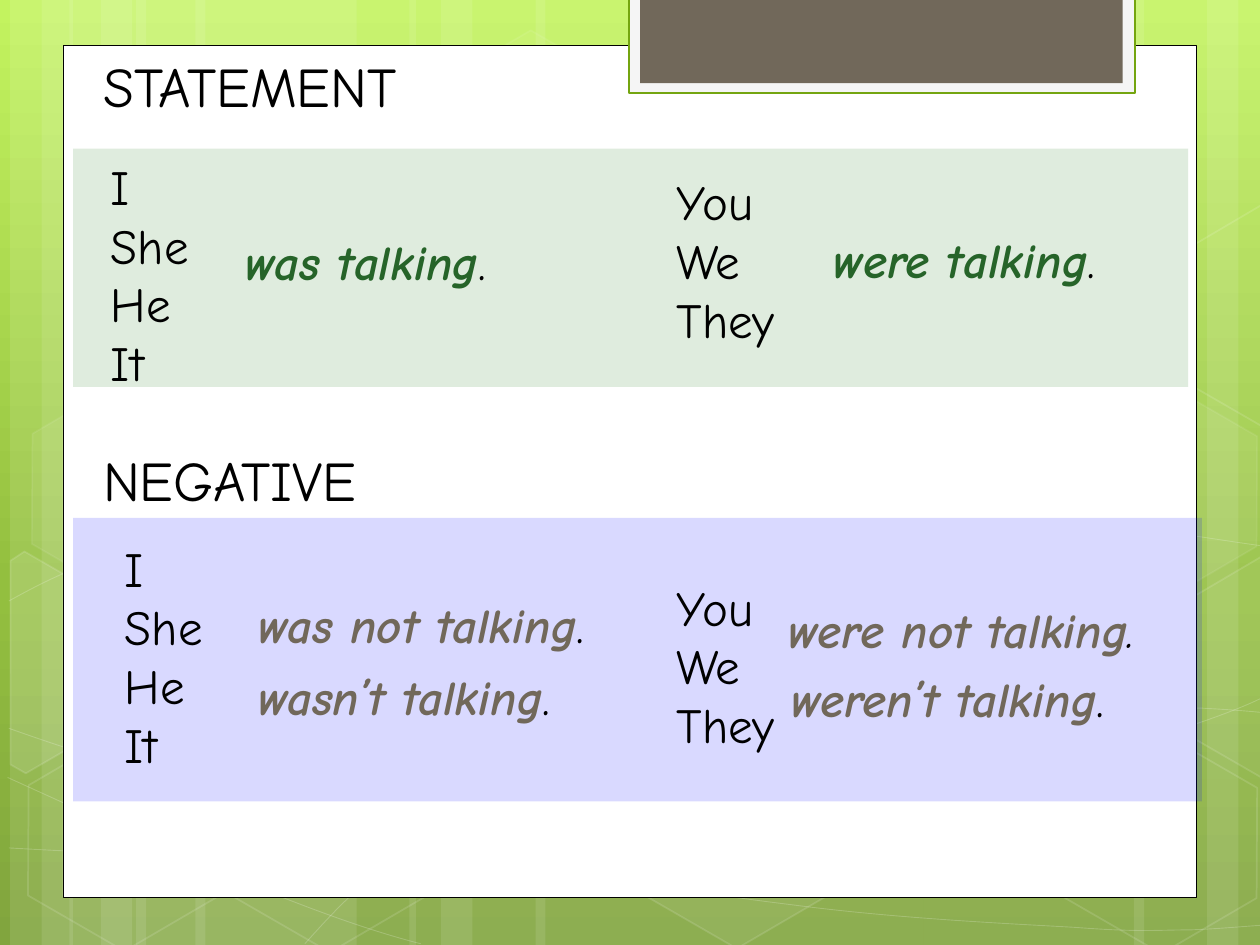
from copy import deepcopy
from dataclasses import dataclass

from lxml.etree import SubElement
from pptx import Presentation
from pptx.dml.color import RGBColor
from pptx.enum.shapes import MSO_SHAPE
from pptx.enum.text import MSO_ANCHOR, MSO_AUTO_SIZE, PP_ALIGN
from pptx.oxml.ns import qn
from pptx.util import Inches, Pt

CELL = Inches(0.1)  # the slide is a grid of 100 columns by 75 rows
COLUMNS, ROWS = 100, 75


@dataclass(frozen=True)
class Theme:
    font: str = "Comic Neue"
    heading: int = 32
    body: int = 28
    ink: str = "000000"
    paper: str = "FFFFFF"
    tab_border: str = "F5F5F5"
    tab_line: str = "74A510"
    taupe: str = "71685A"
    green: str = "266429"
    green_panel: str = "2B8525"
    blue_panel: str = "0101FF"
    sky: tuple = ((0, "C3F35F"), (0.62, "93BF3F"), (1, "81A53E"))


THEME = Theme()


@dataclass(frozen=True)
class Box:
    left: float
    top: float
    width: float
    height: float

    def inner(self, left, top, width, height):
        return Box(self.left + left, self.top + top, width, height)

    def emu(self):
        return [cells(v) for v in (self.left, self.top, self.width, self.height)]


def cells(count):
    return round(count * CELL)


def set_opacity(solid_fill, percent):
    if percent < 100:
        SubElement(solid_fill[0], qn("a:alpha"), val=str(percent * 1000))


def paint(shape, fill=None, opacity=100, line=None, width=1, line_opacity=100):
    shape.shadow.inherit = False
    properties = shape.element.spPr
    if fill:
        shape.fill.solid()
        shape.fill.fore_color.rgb = RGBColor.from_string(fill)
        set_opacity(properties.find(qn("a:solidFill")), opacity)
    else:
        shape.fill.background()
    if line:
        shape.line.width = Pt(width)
        shape.line.color.rgb = RGBColor.from_string(line)
        set_opacity(properties.find(qn("a:ln")).find(qn("a:solidFill")), line_opacity)
    else:
        shape.line.fill.background()


def add_rectangle(slide, box, **style):
    paint(slide.shapes.add_shape(MSO_SHAPE.RECTANGLE, *box.emu()), **style)


def add_outline(slide, points, closed):
    start, *rest = [(cells(x), cells(y)) for x, y in points]
    builder = slide.shapes.build_freeform(*start)
    builder.add_line_segments(rest, close=closed)
    return builder.convert_to_shape()


def bend(outline):
    """Turn each three line segments into one cubic Bézier segment."""
    track = next(outline.element.iter(qn("a:path")))
    segments = track.findall(qn("a:lnTo"))
    for i in range(0, len(segments), 3):
        curve = SubElement(track, qn("a:cubicBezTo"))
        for segment in segments[i:i + 3]:
            curve.append(segment[0])
            track.remove(segment)


def draw_sky(slide):
    fill = slide.background.fill
    fill.gradient()
    fill.gradient_angle = 270
    stops = next(slide.element.iter(qn("a:gsLst")))
    stops.append(deepcopy(stops[0]))
    for stop, (position, color) in zip(fill.gradient_stops, THEME.sky):
        stop.position = position
        stop.color.rgb = RGBColor.from_string(color)


def draw_stripes(slide):
    for left, width in ((10.8, 17.5), (0.8, 5), (3.3, 8.3), (15.5, 17.5), (5.5, 5), (8, 8.3),
                        (73.3, 17.5), (95.8, 5), (90, 8.3), (42.5, 30.8), (32.5, 5), (35, 8.3)):
        add_rectangle(slide, Box(left, 0, width, ROWS), fill=THEME.paper, opacity=10)


def draw_waves(slide):
    waves = (
        [(0.7, 67.3), (6.1, 67.6), (11.5, 67.9), (19, 67.8), (26.5, 67.7), (35.8, 67.5),
         (45.8, 66.5), (55.8, 65.5), (70, 63.6), (79.2, 61.7), (88.3, 59.8), (97.7, 56.8),
         (100.7, 55.1)],
        [(0.7, 47.7), (3.6, 46.1), (6.5, 44.6), (12.1, 43.1), (17.8, 41.6), (25.9, 39.4),
         (34.7, 38.7), (43.6, 38), (54.4, 37.9), (65.4, 38.7), (76.4, 39.5), (94.7, 42.6),
         (100.7, 43.4)],
        [(0.6, 61.7), (12.7, 67.2), (24.7, 72.7), (33.4, 74.9)],
        [(0.7, 57.8), (3.8, 58.9), (7, 60), (12.8, 61.6), (18.6, 63.1), (27.3, 65.6),
         (35.7, 67.3), (44, 69), (54.5, 70.8), (62.8, 71.8), (71.1, 72.9), (80, 73.3),
         (85.3, 73.6), (90.5, 74), (91.9, 73.8), (94.5, 73.8), (97.1, 73.7), (98.9, 73.5),
         (100.7, 73.4)],
        [(24.2, 74.9), (26, 72.9), (27.8, 70.9), (30.2, 69.1), (32.6, 67.3), (36, 65.3),
         (38.8, 63.9), (41.6, 62.5), (43.3, 61.9), (47, 60.9), (50.6, 59.9), (57.3, 58.5),
         (60.8, 57.8), (64.4, 57.1), (64.9, 57.1), (68, 56.9), (71.1, 56.6), (76, 56.3),
         (79.4, 56.2), (82.9, 56.1), (88.6, 56.2), (95.3, 56.2), (97.1, 56.3), (98.8, 56.4),
         (100.6, 56.6)],
    )
    for knots in waves:
        wave = add_outline(slide, knots, closed=False)
        bend(wave)
        paint(wave, line=THEME.paper, width=0.5, line_opacity=20)


def paint_hexagon(shape, opacity, line_opacity):
    shape.rotation = 30
    paint(shape, THEME.paper if opacity else None, opacity,
          THEME.paper, line_opacity=line_opacity)


def draw_hexagons(slide):
    """Whole hexagons, and those trimmed by the left and right slide edges."""
    def whole(left, top, opacity, line_opacity):
        hexagon = slide.shapes.add_shape(MSO_SHAPE.HEXAGON, *Box(left, top, 17.5, 15.2).emu())
        hexagon.adjustments[0] = 0.285
        paint_hexagon(hexagon, opacity, line_opacity)

    def trimmed(left, top, corners, opacity):
        points = [(left + x, top + y) for x, y in corners]
        paint_hexagon(add_outline(slide, points, closed=True), opacity, 12)

    left_trim = ((0, 1.2), (0.6, 0), (9.5, 0), (13.8, 7.7), (9.5, 15.2), (8.1, 15.2))
    right_trim = ((0, 7.6), (4.3, 0), (5.2, 0), (13.6, 14.5), (13.1, 15.2), (4.3, 15.2))
    whole(33.4, 3.6, 4, 8)
    whole(49.7, 58.9, 6, 12)
    trimmed(-3.3, 45.9, left_trim, 10)
    for spot in ((1.1, 59.1, 0, 12), (1.4, 31.2, 7, 8), (17.4, 59.2, 0, 12),
                 (75.3, 45.3, 10, 12), (83.4, 59.3, 0, 12), (83.4, 31.4, 7, 8)):
        whole(*spot)
    trimmed(91.7, 44.4, right_trim, 4)
    trimmed(91.7, 16.5, right_trim, 0)


def draw_page(slide, box):
    """White page with the taupe tab hanging over its upper edge."""
    add_rectangle(slide, box, fill=THEME.paper, line=THEME.ink, width=0.5)
    add_rectangle(slide, box.inner(44.9, -3.8, 40.2, 7.6),
                  fill=THEME.tab_border, line=THEME.tab_line, width=1.25)
    add_rectangle(slide, box.inner(45.8, -3.8, 38.3, 6.8), fill=THEME.taupe)


def write_lines(holder, box, lines, size):
    """Fill a text holder with plain, unbulleted lines and bring it to the front."""
    holder.left, holder.top, holder.width, holder.height = box.emu()
    holder.element.getparent().append(holder.element)
    frame = holder.text_frame
    frame.word_wrap = True
    frame.auto_size = MSO_AUTO_SIZE.NONE
    frame.vertical_anchor = MSO_ANCHOR.TOP
    frame.text = "\n".join(lines)
    for paragraph in frame.paragraphs:
        properties = paragraph._p.get_or_add_pPr()
        properties.set("marL", "0")
        properties.set("indent", "0")
        SubElement(properties, qn("a:buNone"))
        paragraph.alignment = PP_ALIGN.LEFT
        paragraph.space_before = Pt(0)
        paragraph.font.name = THEME.font
        paragraph.font.size = Pt(size)
        paragraph.font.bold = False
        paragraph.font.color.rgb = RGBColor.from_string(THEME.ink)


def add_verb(slide, box, verb, color, italic_stop=False):
    frame = slide.shapes.add_textbox(*box.emu()).text_frame
    frame.word_wrap = True
    paragraph = frame.paragraphs[0]
    for words, tint, bold, italic in ((verb, color, True, True),
                                      (".", THEME.ink, False, italic_stop)):
        run = paragraph.add_run()
        run.text = words
        run.font.name, run.font.size = THEME.font, Pt(THEME.body)
        run.font.bold, run.font.italic = bold, italic
        run.font.color.rgb = RGBColor.from_string(tint)


def draw_panel(slide, box, tint, heading, pronouns, verbs, verb_color):
    """One sentence form: heading above a tinted panel of pronouns and verbs."""
    add_rectangle(slide, box, fill=tint, opacity=15)
    for (holder, place, words), size in ((heading, THEME.heading),
                                         *((column, THEME.body) for column in pronouns)):
        write_lines(holder, box.inner(*place), words, size)
    for (left, top, width), verb, *stop in verbs:
        add_verb(slide, box.inner(left, top, width, 5.7), verb, verb_color, *stop)


def main():
    deck = Presentation()
    deck.slide_width, deck.slide_height = cells(COLUMNS), cells(ROWS)
    slide = deck.slides.add_slide(deck.slide_layouts[4])
    title, *lists = slide.placeholders
    negative = slide.shapes.add_textbox(0, 0, CELL, CELL)
    singular, plural = ("I", "She", "He", "It"), ("You", "We", "They")

    draw_sky(slide)
    draw_stripes(slide)
    draw_waves(slide)
    draw_hexagons(slide)
    draw_page(slide, Box(5, 3.6, 90, 67.6))
    draw_panel(slide, Box(5.8, 41.1, 89.6, 22.5), THEME.blue_panel,
               (negative, (1.4, -6.2, 25.9, 6.4), ["NEGATIVE"]),
               ((lists[2], (3.1, 1.1, 9.2, 19.9), singular),
                (lists[3], (46.9, 4.2, 11.2, 15.1), plural)),
               (((13.7, 5.6, 31.6), "was not talking"), ((13.7, 11.3, 28.8), "wasn’t talking"),
                ((55.8, 6, 33.8), "were not talking", True),
                ((56, 11.5, 30.9), "weren’t talking")), THEME.taupe)
    draw_panel(slide, Box(5.8, 11.8, 88.5, 18.9), THEME.green_panel,
               (title, (1.4, -8.2, 30.7, 6.4), ["STATEMENT"]),
               ((lists[0], (2, 0.1, 9.2, 19.9), singular),
                (lists[1], (46.9, 1.3, 11.2, 15.1), plural)),
               (((12.7, 6.1, 24.1), "was talking"), ((59.4, 5.9, 26.1), "were talking")),
               THEME.green)
    deck.save("out.pptx")


if __name__ == "__main__":
    main()
